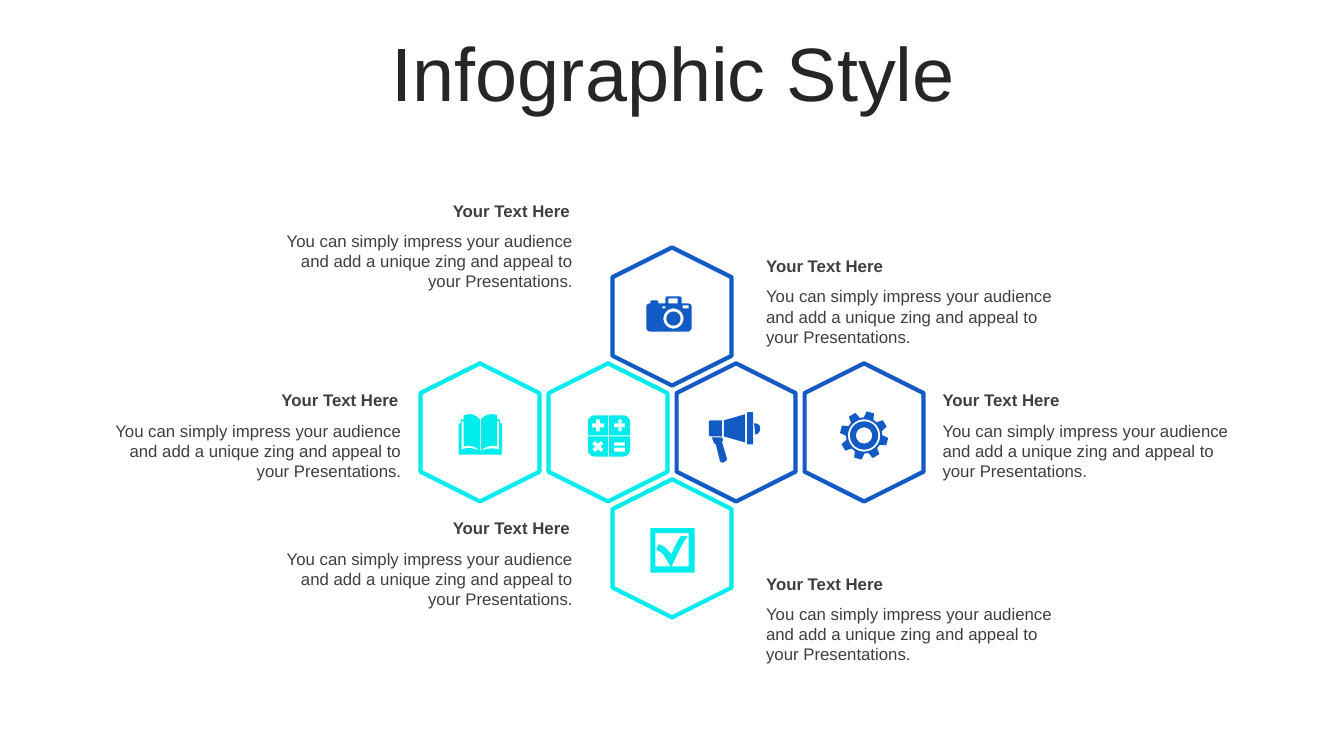
"""Build the Infographic Style slide: six hexagons with icons and captions."""
from dataclasses import dataclass
from math import cos, pi, radians, sin

from pptx import Presentation
from pptx.dml.color import RGBColor
from pptx.enum.shapes import MSO_SHAPE as Shape
from pptx.enum.text import MSO_ANCHOR as Anchor, PP_ALIGN as Align
from pptx.util import Inches, Pt

Contour = list[tuple[float, ...]]
COLORS = {"white": "FFFFFF", "title": "262626", "text": "3F3F3F",
          "blue": "125AC4", "cyan": "02ECEC"}
HEADING = "Your Text Here"
BODY = ("You can simply impress your audience and add a unique zing "
        "and appeal to your Presentations.")


@dataclass
class Caption:
    x: float
    y: float
    align: Align


@dataclass
class Hexagon:
    column: float
    row: int
    color: str
    icon: list[Contour]


def rgb(name: str) -> RGBColor:
    return RGBColor.from_string(COLORS[name])


def rect(x1: float, y1: float, x2: float, y2: float) -> Contour:
    return [(x1, y1), (x2, y1), (x2, y2), (x1, y2)]


def polar(cx: float, cy: float, r: float, degrees: float) -> tuple[float, float]:
    return cx + r * cos(radians(degrees)), cy + r * sin(radians(degrees))


def circle(cx: float, cy: float, r: float) -> Contour:
    return [polar(cx, cy, r, a) for a in range(0, 360, 10)]


def round_rect(x1: float, y1: float, x2: float, y2: float,
               tl: float = 0, tr: float = 0, br: float = 0, bl: float = 0) -> Contour:
    corners = [(x1 + tl, y1 + tl, tl, 180), (x2 - tr, y1 + tr, tr, 270),
               (x2 - br, y2 - br, br, 0), (x1 + bl, y2 - bl, bl, 90)]
    return [polar(cx, cy, r, start + turn)
            for cx, cy, r, start in corners for turn in range(0, 91, 15)]


def cross(cx: float, cy: float, turn: float = 0) -> Contour:
    r, t = 0.06, 0.02
    arms = [(r, -t), (r, t), (t, t), (t, r), (-t, r), (-t, t),
            (-r, t), (-r, -t), (-t, -t), (-t, -r), (t, -r), (t, -t)]
    c, n = cos(turn), sin(turn)
    return [(cx + x * c - y * n, cy + x * n + y * c) for x, y in arms]


def gear(cx: float, cy: float) -> Contour:
    tooth = [(0.18, -16), (0.24, -9), (0.24, 9), (0.18, 16)]
    return [polar(cx, cy, r, 15 + 45 * k + a) for k in range(8) for r, a in tooth]


def flatten(contour: Contour) -> list[tuple[int, int]]:
    """Turn six-number Bezier steps into short lines, in EMU."""
    points: Contour = []
    for step in contour:
        if len(step) == 2:
            points.append(step)
            continue
        nodes = [points[-1], step[:2], step[2:4], step[4:]]
        for k in range(1, 9):
            t = k / 8
            weights = ((1 - t) ** 3, 3 * t * (1 - t) ** 2, 3 * t * t * (1 - t), t ** 3)
            points.append(tuple(sum(w * n[i] for w, n in zip(weights, nodes))
                                for i in (0, 1)))
    return [(Inches(x), Inches(y)) for x, y in points]


def add_icon(s, contours: list[Contour], color: str) -> None:
    first, *rest = [flatten(c) for c in contours]
    builder = s.shapes.build_freeform(*first[0], scale=1.0)
    builder.add_line_segments(first[1:], close=True)
    for points in rest:
        builder.move_to(*points[0])
        builder.add_line_segments(points[1:], close=True)
    sp = builder.convert_to_shape()
    sp.shadow.inherit = False
    sp.fill.solid()
    sp.fill.fore_color.rgb = rgb(color)
    sp.line.fill.background()


def add_hexagon(s, item: Hexagon) -> None:
    w, h = 1.37, 1.18
    cx, cy = 4.76 + 1.27 * item.column, 4.29 + 1.15 * item.row
    sp = s.shapes.add_shape(Shape.HEXAGON, Inches(cx - w / 2), Inches(cy - h / 2),
                            Inches(w), Inches(h))
    sp.rotation = 90
    sp.shadow.inherit = False
    sp.fill.solid()
    sp.fill.fore_color.rgb = rgb("white")
    sp.line.color.rgb = rgb(item.color)
    sp.line.width = Pt(3)
    add_icon(s, item.icon, item.color)


def add_text(s, text: str, x: float, y: float, w: float, h: float, align: Align,
             size: int = 12, color: str = "text", bold: bool = False):
    tf = s.shapes.add_textbox(Inches(x), Inches(y), Inches(w), Inches(h)).text_frame
    tf.word_wrap = True
    p = tf.paragraphs[0]
    p.alignment = align
    r = p.add_run()
    r.text = text
    r.font.name, r.font.size, r.font.bold = "Arial", Pt(size), bold
    r.font.color.rgb = rgb(color)
    return tf


CALCULATOR = [
    round_rect(5.83, 4.12, 6.03, 4.32, tl=0.07), round_rect(6.04, 4.12, 6.25, 4.32, tr=0.07),
    round_rect(6.04, 4.33, 6.25, 4.53, br=0.07), round_rect(5.83, 4.33, 6.03, 4.53, bl=0.07),
    cross(5.93, 4.22), cross(5.93, 4.43, pi / 4),
    rect(6.09, 4.2, 6.2, 4.24), circle(6.15, 4.18, 0.02), circle(6.15, 4.26, 0.02),
    rect(6.09, 4.39, 6.2, 4.42), rect(6.09, 4.44, 6.2, 4.48)]
BOOK = [[
    (4.76, 4.47), (4.77, 4.47), (4.84, 4.45, 4.87, 4.44, 4.95, 4.46), (4.95, 4.18),
    (4.93, 4.18), (4.93, 4.43), (4.88, 4.41, 4.82, 4.43, 4.77, 4.47), (4.77, 4.16),
    (4.8, 4.13, 4.83, 4.11, 4.87, 4.11), (4.89, 4.11, 4.91, 4.11, 4.93, 4.12),
    (4.93, 4.16), (4.96, 4.16), (4.96, 4.2), (4.98, 4.2), (4.98, 4.51), (4.55, 4.51),
    (4.55, 4.2), (4.57, 4.2), (4.57, 4.16), (4.6, 4.16), (4.6, 4.12),
    (4.63, 4.11, 4.65, 4.11, 4.66, 4.11), (4.7, 4.11, 4.73, 4.13, 4.76, 4.16),
    (4.76, 4.47), (4.71, 4.43, 4.65, 4.41, 4.6, 4.43), (4.6, 4.18), (4.58, 4.18),
    (4.58, 4.46), (4.65, 4.43, 4.7, 4.45, 4.76, 4.47)]]
CHECKBOX = [rect(6.45, 5.24, 6.89, 5.68), rect(6.5, 5.29, 6.83, 5.62), [
    (6.65, 5.62), (6.62, 5.57, 6.58, 5.47, 6.51, 5.46), (6.53, 5.4),
    (6.6, 5.42, 6.62, 5.45, 6.66, 5.5), (6.69, 5.42, 6.71, 5.39, 6.75, 5.32),
    (6.82, 5.32), (6.76, 5.4, 6.71, 5.52, 6.66, 5.62)]]
MEGAPHONE = [
    [(7.16, 4.34), (7.17, 4.36), (7.17, 4.37, 7.17, 4.38, 7.16, 4.38), (7.21, 4.55),
     (7.21, 4.56, 7.2, 4.58, 7.19, 4.58), (7.17, 4.59),
     (7.16, 4.59, 7.14, 4.58, 7.14, 4.57), (7.1, 4.41),
     (7.09, 4.4, 7.08, 4.4, 7.08, 4.39), (7.06, 4.34)],
    [(7.48, 4.2), (7.52, 4.2, 7.54, 4.22, 7.54, 4.25),
     (7.54, 4.28, 7.52, 4.31, 7.49, 4.31)],
    round_rect(7.03, 4.17, 7.16, 4.33, tl=0.02, bl=0.02),
    [(7.39, 4.11), (7.39, 4.39), (7.18, 4.33), (7.18, 4.17)],
    round_rect(7.41, 4.09, 7.47, 4.41, 0.01, 0.01, 0.01, 0.01)]
CAMERA = [
    [(6.61, 2.94), (6.74, 2.94), (6.75, 2.94, 6.76, 2.95, 6.76, 2.96), (6.76, 3.01),
     (6.82, 3.01), (6.84, 3.01, 6.86, 3.02, 6.86, 3.04), (6.86, 3.25),
     (6.86, 3.27, 6.84, 3.29, 6.82, 3.29), (6.45, 3.29),
     (6.43, 3.29, 6.41, 3.27, 6.41, 3.25), (6.41, 3.04),
     (6.41, 3.02, 6.43, 3.01, 6.45, 3.01), (6.45, 2.99), (6.46, 2.98), (6.52, 2.98),
     (6.53, 2.99), (6.53, 3.01), (6.6, 3.01), (6.6, 2.96)],
    circle(6.68, 3.16, 0.1), circle(6.68, 3.16, 0.07), rect(6.57, 3.04, 6.6, 3.06),
    rect(6.77, 3.03, 6.83, 3.06), rect(6.63, 2.96, 6.72, 3.01)]
GEAR = [gear(8.57, 4.32), *(circle(8.57, 4.32, r) for r in (0.16, 0.14, 0.08))]

HEXAGONS = [Hexagon(3, 0, "blue", GEAR), Hexagon(0, 0, "cyan", BOOK),
            Hexagon(1, 0, "cyan", CALCULATOR), Hexagon(1.5, -1, "blue", CAMERA),
            Hexagon(2, 0, "blue", MEGAPHONE), Hexagon(1.5, 1, "cyan", CHECKBOX)]
CAPTIONS = [Caption(2.68, 1.94, Align.RIGHT), Caption(0.98, 3.82, Align.RIGHT),
            Caption(7.5, 5.64, Align.LEFT), Caption(7.5, 2.49, Align.LEFT),
            Caption(9.25, 3.82, Align.LEFT), Caption(2.68, 5.09, Align.RIGHT)]

prs = Presentation()
prs.slide_width, prs.slide_height = Inches(13.33), Inches(7.5)
s = prs.slides.add_slide(prs.slide_layouts[6])
title = add_text(s, "Infographic Style", 0.35, 0.37, 12.66, 0.79, Align.CENTER, 54, "title")
title.vertical_anchor = Anchor.MIDDLE
title.paragraphs[0].line_spacing = 0.9
for c in CAPTIONS:
    add_text(s, BODY, c.x, c.y + 0.3, 3.1, 0.71, c.align)
    add_text(s, HEADING, c.x, c.y, 3.07, 0.3, c.align, bold=True)
for item in HEXAGONS:
    add_hexagon(s, item)
prs.save("out.pptx")
